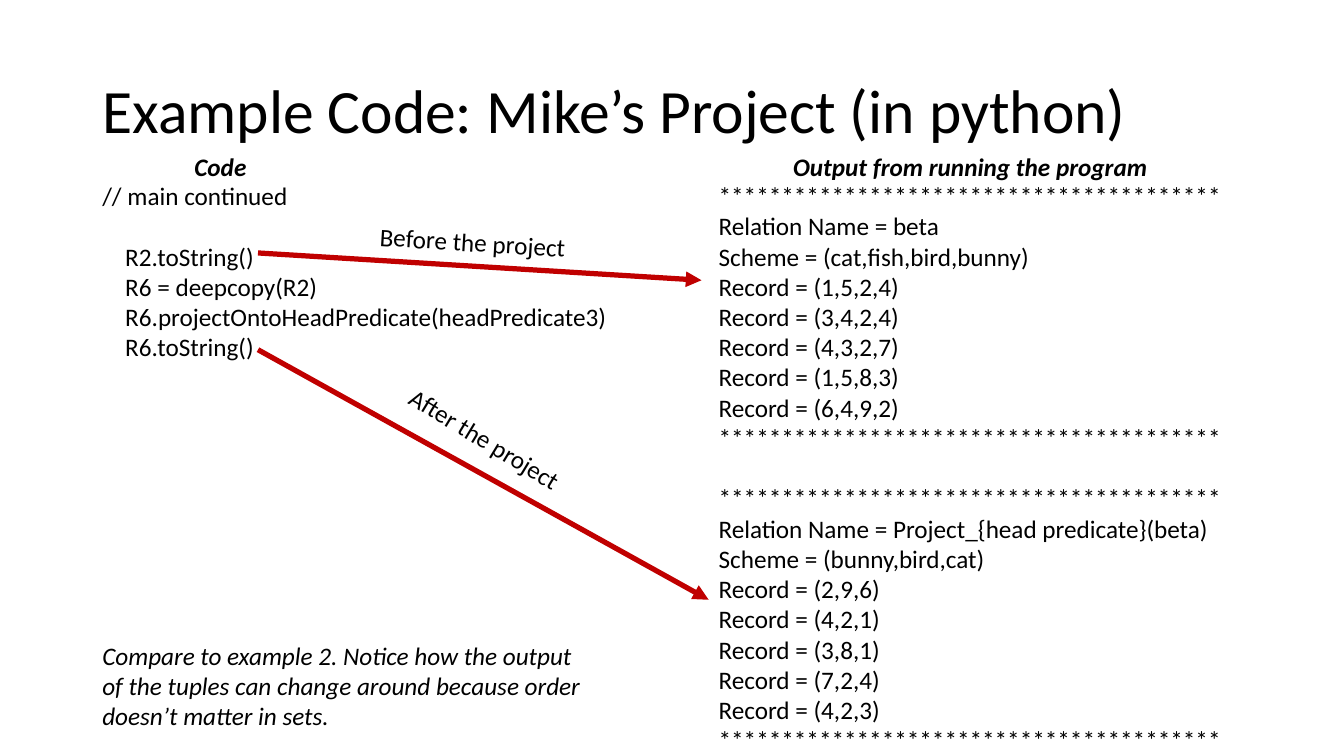
from lxml import etree
from pptx import Presentation
from pptx.dml.color import RGBColor
from pptx.enum.shapes import MSO_CONNECTOR
from pptx.enum.text import MSO_ANCHOR, MSO_AUTO_SIZE, PP_ALIGN
from pptx.oxml.ns import qn
from pptx.util import Pt

STRAIGHT = MSO_CONNECTOR.STRAIGHT
MIDDLE = MSO_ANCHOR.MIDDLE
NO_FIT, GROW = MSO_AUTO_SIZE.NONE, MSO_AUTO_SIZE.SHAPE_TO_FIT_TEXT
LEFT = PP_ALIGN.LEFT

COLORS = {"text": "000000", "arrow": "C00000"}
FONT = "Calibri"
BODY_SIZE = 18
BLANK_LINE = 21.6
CODE_INDENT = 16.4
STARS = "*" * 40


def format_paragraph(paragraph, text, size=BODY_SIZE, **font_values):
    """Fill a paragraph with one run and set its font attributes."""
    run = paragraph.add_run()
    run.text = text
    values = {"name": FONT, "size": Pt(size), **font_values}
    for name, value in values.items():
        setattr(run.font, name, value)
    run.font.color.rgb = RGBColor.from_string(COLORS["text"])


def add_text(slide, box, lines, rotation=0, **font_values):
    """Add an unwrapped text box with one paragraph per line."""
    shape = slide.shapes.add_textbox(*map(Pt, box))
    shape.rotation = rotation
    frame = shape.text_frame
    frame.word_wrap = False
    frame.auto_size = GROW
    for index, line in enumerate(lines):
        paragraph = frame.paragraphs[0] if index == 0 else frame.add_paragraph()
        format_paragraph(paragraph, line, **font_values)
    return frame.paragraphs


presentation = Presentation()
presentation.slide_width, presentation.slide_height = Pt(960), Pt(540)
slide = presentation.slides.add_slide(presentation.slide_layouts[5])

# Title
title = slide.shapes.title
title_box = {"left": 66, "top": 28.8, "width": 828, "height": 104.4}
for name, value in title_box.items():
    setattr(title, name, Pt(value))
title.text_frame.vertical_anchor = MIDDLE
title.text_frame.auto_size = NO_FIT
title_paragraph = title.text_frame.paragraphs[0]
title_paragraph.alignment = LEFT
title_paragraph.line_spacing = 0.9
format_paragraph(title_paragraph, "Example Code: Mike’s Project (in python)", size=44)

# Code listing: the statements are indented below the comment
code_lines = [
    "// main continued",
    "R2.toString()",
    "R6 = deepcopy(R2)",
    "R6.projectOntoHeadPredicate(headPredicate3)",
    "R6.toString()",
]
code = add_text(slide, (66, 125.3, 378.7, 225.4), code_lines)
code[1].space_before = Pt(BLANK_LINE)
for statement in code[1:]:
    statement._p.get_or_add_pPr().set("marL", str(Pt(CODE_INDENT)))

# Program output: two relations, each framed by rows of stars
relations = [
    ("beta", "cat,fish,bird,bunny",
     ["1,5,2,4", "3,4,2,4", "4,3,2,7", "1,5,8,3", "6,4,9,2"]),
    ("Project_{head predicate}(beta)", "bunny,bird,cat",
     ["2,9,6", "4,2,1", "3,8,1", "7,2,4", "4,2,3"]),
]
output_lines = []
for relation_name, scheme, records in relations:
    second_start = len(output_lines)
    output_lines += [STARS, f"Relation Name = {relation_name}", f"Scheme = ({scheme})"]
    output_lines += [f"Record = ({record})" for record in records]
    output_lines.append(STARS)
output = add_text(slide, (506.2, 125.3, 378, 487.4), output_lines)
output[second_start].space_before = Pt(BLANK_LINE)

# Column headings
for heading, left, width in [
    ("Code", 131.8, 52.6),
    ("Output from running the program", 559.4, 270.7),
]:
    add_text(slide, (left, 104.4, width, 28.8), [heading], bold=True, italic=True)

# Arrows from each toString call to its output
for ends in [(184.3, 180.7, 501.1, 200.2), (184.3, 249.8, 506.2, 428.4)]:
    arrow = slide.shapes.add_connector(STRAIGHT, *map(Pt, ends))
    arrow.line.color.rgb = RGBColor.from_string(COLORS["arrow"])
    arrow.line.width = Pt(3.75)
    etree.SubElement(arrow.line._get_or_add_ln(), qn("a:tailEnd"), type="triangle")
    etree.SubElement(arrow._element.spPr, qn("a:effectLst"))

# Arrow labels
for label, box, rotation in [
    ("Before the project", (264.2, 158.4, 148.3, 28.8), 3.5),
    ("After the project", (278.6, 299.5, 137.5, 28.8), 31.2),
]:
    add_text(slide, box, [label], rotation)

# Closing remark
remark = [
    "Compare to example 2. Notice how the output",
    "of the tuples can change around because order",
    "doesn’t matter in sets.",
]
add_text(slide, (66, 453.6, 360, 72.7), remark, italic=True)

presentation.save("out.pptx")
